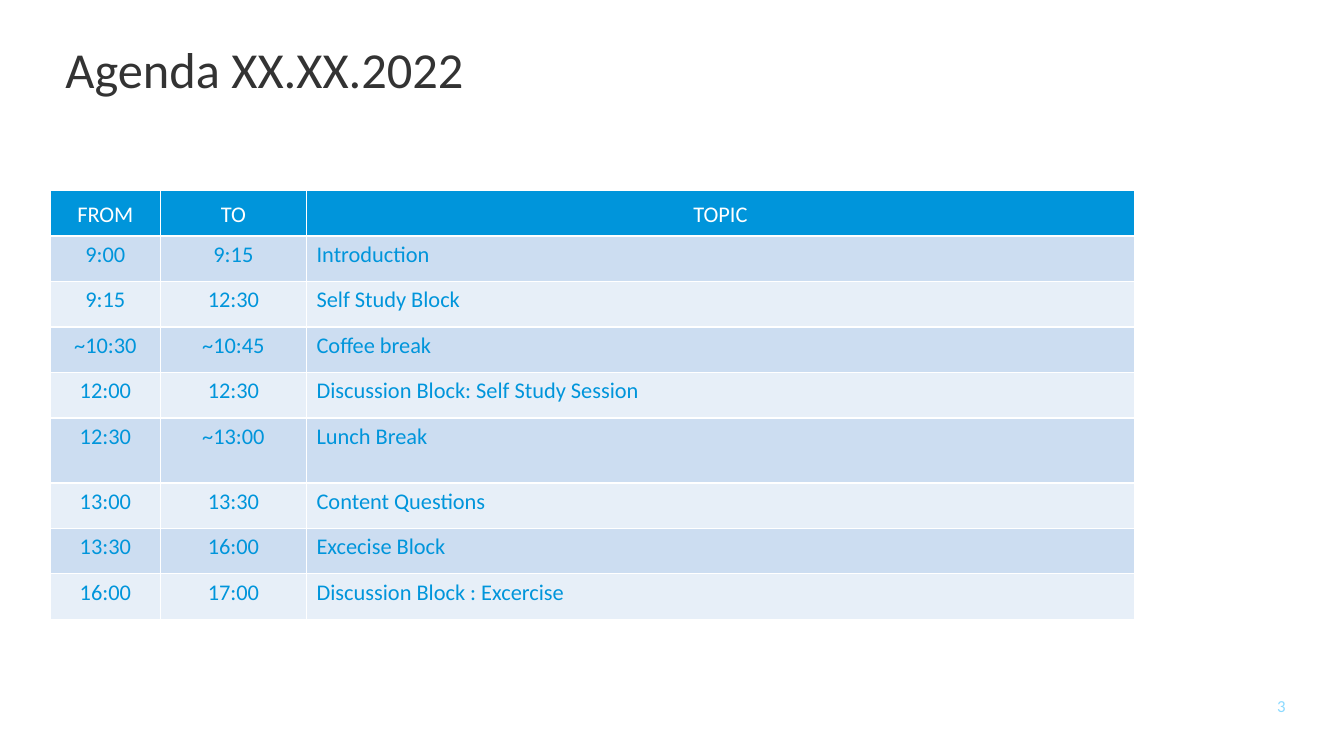
import pptx
import pptx.dml.color
import pptx.enum.text
import pptx.util

RGBColor = pptx.dml.color.RGBColor
Align = pptx.enum.text.PP_ALIGN
Anchor = pptx.enum.text.MSO_ANCHOR

WHITE = RGBColor(0xFF, 0xFF, 0xFF)
CHARCOAL = RGBColor(0x33, 0x33, 0x33)
BLUE = RGBColor(0x00, 0x95, 0xDB)
PALE_CYAN = RGBColor(0x8B, 0xDA, 0xFF)
BANDS = (RGBColor(0xCC, 0xDD, 0xF1), RGBColor(0xE7, 0xEF, 0xF8))

HEADINGS = ("from", "to", "topic")
AGENDA = [
    ("9:00", "9:15", "Introduction"),
    ("9:15", "12:30", "Self Study Block"),
    ("~10:30", "~10:45", "Coffee break"),
    ("12:00", "12:30", "Discussion Block: Self Study Session"),
    ("12:30", "~13:00", "Lunch Break"),
    ("13:00", "13:30", "Content Questions"),
    ("13:30", "16:00", "Excecise Block"),
    ("16:00", "17:00", "Discussion Block : Excercise"),
]

# Lengths in percent of the slide's width or height
COLUMN_WIDTHS = (8.18, 10.88, 61.59)
ROW_HEIGHT = 6.02
LUNCH_HEIGHT = 8.6


class AgendaPage:
    """Holds the style and the current slide."""

    font_name = "Calibri"

    def __init__(self, deck):
        self.deck = deck
        self.page = deck.slides.add_slide(deck.slide_layouts[6])

    def across(self, percent):
        return int(self.deck.slide_width * percent / 100)

    def down(self, percent):
        return int(self.deck.slide_height * percent / 100)

    def set_text(self, frame, text, size, color, align=Align.LEFT):
        frame.text = text
        para = frame.paragraphs[0]
        para.alignment = align
        span = para.runs[0]
        span.font.name = self.font_name
        span.font.size = pptx.util.Pt(size)
        span.font.bold = False
        span.font.color.rgb = color
        return para

    def text(self, left, top, width, height, text, size, color,
             align=Align.LEFT, anchor=Anchor.TOP):
        box = self.page.shapes.add_textbox(
            self.across(left), self.down(top), self.across(width), self.down(height))
        frame = box.text_frame
        frame.word_wrap = True
        frame.vertical_anchor = anchor
        return self.set_text(frame, text, size, color, align)

    def table(self, left, top, widths, heights, headings, rows):
        table = self.page.shapes.add_table(
            len(heights), len(widths), self.across(left), self.down(top),
            self.across(sum(widths)), self.down(sum(heights))).table
        for column, width in zip(table.columns, widths):
            column.width = self.across(width)
        for row, height in zip(table.rows, heights):
            row.height = self.down(height)

        # Header in small capitals
        for cell, heading in zip(table.rows[0].cells, headings):
            self.fill(cell, BLUE)
            para = self.set_text(cell.text_frame, heading, 20, WHITE, Align.CENTER)
            para.runs[0].font._element.set("cap", "small")

        # Banded body: centred times, topic on the left
        for index, values in enumerate(rows):
            for column, value in enumerate(values):
                cell = table.cell(index + 1, column)
                self.fill(cell, BANDS[index % 2])
                align = Align.CENTER if column < 2 else Align.LEFT
                self.set_text(cell.text_frame, value, 16, BLUE, align)

    def fill(self, cell, color):
        cell.fill.solid()
        cell.fill.fore_color.rgb = color


def main():
    deck = pptx.Presentation()
    deck.slide_width = pptx.util.Inches(13.33)
    deck.slide_height = pptx.util.Inches(7.5)
    agenda = AgendaPage(deck)

    # Title
    title = agenda.text(4.13, 5.33, 71.34, 8.53, "Agenda XX.XX.2022", 36, CHARCOAL)
    title.line_spacing = 0.9

    # Timetable, with a taller row for lunch
    heights = [ROW_HEIGHT] + [
        LUNCH_HEIGHT if topic == "Lunch Break" else ROW_HEIGHT
        for start, end, topic in AGENDA]
    agenda.table(3.75, 25.2, COLUMN_WIDTHS, heights, HEADINGS, AGENDA)

    # Page number
    agenda.text(73.89, 90.67, 22.51, 5.33, "3", 12, PALE_CYAN,
                Align.RIGHT, Anchor.MIDDLE)

    deck.save("out.pptx")


if __name__ == "__main__":
    main()
